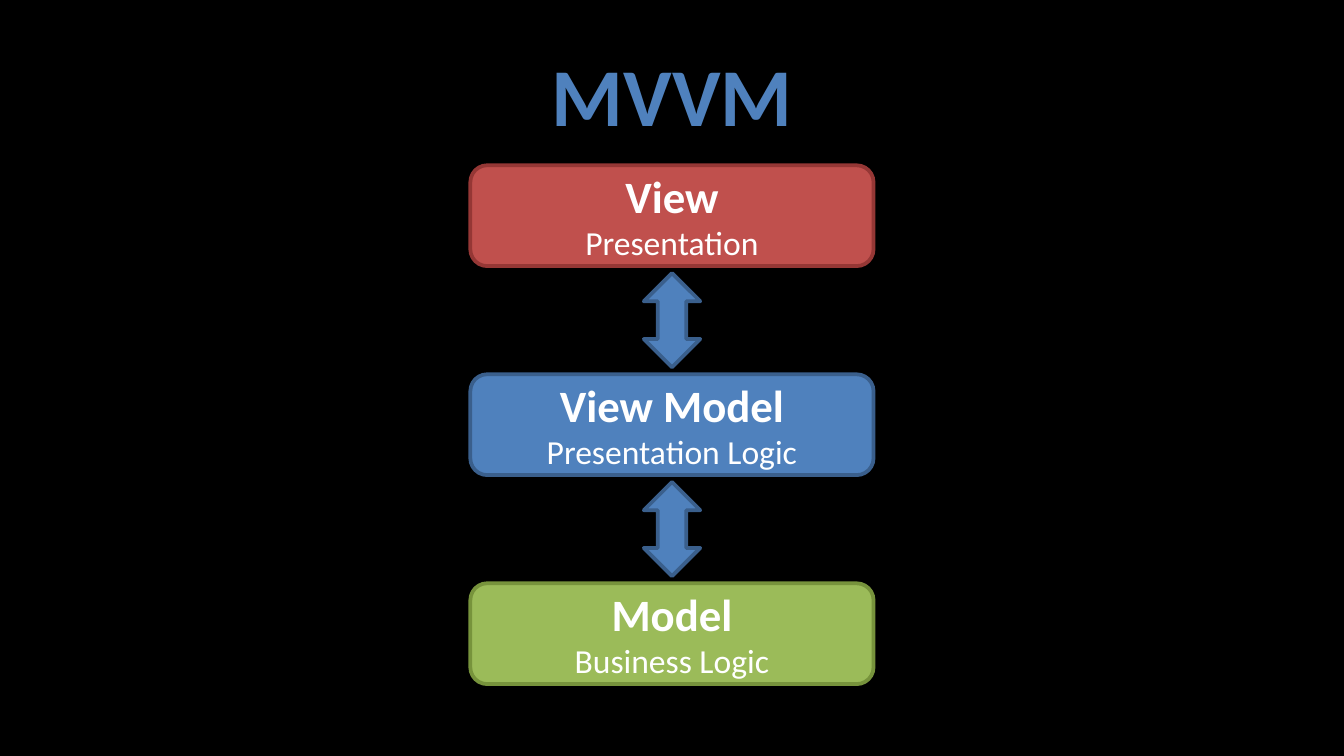
import pptx
import pptx.util
import pptx.dml.color
import pptx.enum.shapes
import pptx.enum.text

Inches = pptx.util.Inches
Pt = pptx.util.Pt
shape_kinds = pptx.enum.shapes.MSO_SHAPE

theme = {
    "font": "Calibri",
    "background": "000000",
    "text": "FFFFFF",
    "view": ("C0504D", "953735"),
    "view_model": ("4F81BD", "3A5F8C"),
    "model": ("9BBB59", "77933C"),
    "title_size": 44,
    "name_size": 24,
    "role_size": 18,
    "line_width": 2,
}


def add_block(kind, left, top, width, height, colors):
    block = page.shapes.add_shape(
        kind, Inches(left), Inches(top), Inches(width), Inches(height))
    block.shadow.inherit = False
    fill_color, line_color = colors
    block.fill.solid()
    block.fill.fore_color.rgb = pptx.dml.color.RGBColor.from_string(fill_color)
    block.line.color.rgb = pptx.dml.color.RGBColor.from_string(line_color)
    block.line.width = Pt(theme["line_width"])
    return block


def write_lines(box, lines):
    frame = box.text_frame
    frame.word_wrap = True
    frame.vertical_anchor = pptx.enum.text.MSO_ANCHOR.MIDDLE
    for index, (text, size, bold, color) in enumerate(lines):
        para = frame.paragraphs[0] if index == 0 else frame.add_paragraph()
        para.alignment = pptx.enum.text.PP_ALIGN.CENTER
        span = para.add_run()
        span.text = text
        span.font.color.rgb = pptx.dml.color.RGBColor.from_string(color)
        font_format = {"name": theme["font"], "size": Pt(size), "bold": bold}
        for name, value in font_format.items():
            setattr(span.font, name, value)


page_width = 10
deck = pptx.Presentation()
deck.slide_width = Inches(page_width)
deck.slide_height = Inches(page_width * 9 / 16)
page = deck.slides.add_slide(deck.slide_layouts[6])
page.background.fill.solid()
page.background.fill.fore_color.rgb = pptx.dml.color.RGBColor.from_string(
    theme["background"])

title = page.shapes.add_textbox(Inches(0.5), Inches(0.23), Inches(9), Inches(0.94))
write_lines(title, [("MVVM", theme["title_size"], True, theme["view_model"][0])])

layers = [
    ("View", "Presentation", "view"),
    ("View Model", "Presentation Logic", "view_model"),
    ("Model", "Business Logic", "model"),
]
first_top, last_top = 1.23, 4.34
pitch = (last_top - first_top) / (len(layers) - 1)
layer_width, layer_height = 3, 0.75
arrow_width, arrow_height = 0.42, 0.7
arrow_gap = (pitch - layer_height - arrow_height) / 2

for index, (name, role, color_key) in enumerate(layers):
    layer = add_block(shape_kinds.ROUNDED_RECTANGLE, (page_width - layer_width) / 2,
                      first_top + index * pitch, layer_width, layer_height,
                      theme[color_key])
    write_lines(layer, [
        (name, theme["name_size"], True, theme["text"]),
        (role, theme["role_size"], False, theme["text"]),
    ])

for index in range(len(layers) - 1):
    arrow_top = first_top + index * pitch + layer_height + arrow_gap
    add_block(shape_kinds.UP_DOWN_ARROW, (page_width - arrow_width) / 2, arrow_top,
              arrow_width, arrow_height, theme["view_model"])

deck.save("out.pptx")
